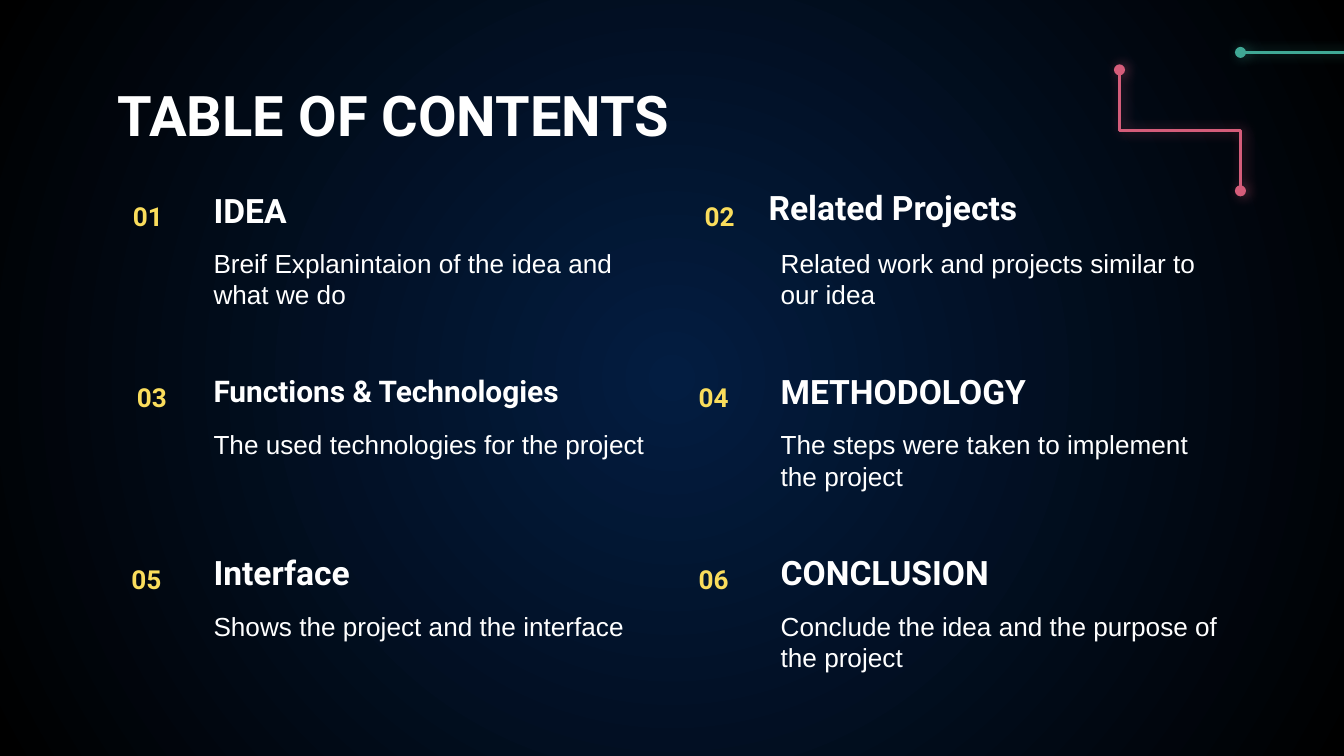
from dataclasses import dataclass

from lxml import etree
from pptx import Presentation
from pptx.dml.color import RGBColor
from pptx.enum.shapes import MSO_CONNECTOR
from pptx.enum.text import MSO_ANCHOR, PP_ALIGN
from pptx.oxml import parse_xml
from pptx.oxml.ns import nsdecls, qn
from pptx.util import Inches, Pt

ELBOW, STRAIGHT = MSO_CONNECTOR.ELBOW, MSO_CONNECTOR.STRAIGHT
TOP, MIDDLE = MSO_ANCHOR.TOP, MSO_ANCHOR.MIDDLE
LEFT, CENTER = PP_ALIGN.LEFT, PP_ALIGN.CENTER
WHITE, YELLOW, PINK, GREEN = "FFFFFF", "FADD5C", "D55D7A", "40A895"
NAVY, BLACK = "031D41", "000000"
COLUMNS = (1.49, 5.71)
ROW_TOP, ROW_STEP = 1.38, 1.35
HEADING = {"name": "Roboto", "bold": True}
BODY = {"name": "Arial", "size": Pt(14)}


@dataclass
class Box:
    """Position and size in inches."""
    left: float
    top: float
    width: float
    height: float


@dataclass
class Topic:
    """One entry of the contents, with its number box and heading offset."""
    heading: str
    body: str
    num_left: float
    num_width: float
    size: int = 18
    dx: float = 0
    dy: float = 0


TOPICS = [
    Topic("IDEA", "Breif Explanintaion of the idea and what we do", 0.87, 0.46),
    Topic("Related Projects", "Related work and projects similar to our idea",
          5.09, 0.53, dx=-0.09, dy=-0.02),
    Topic("Functions & Technologies", "The used technologies for the project",
          0.87, 0.52, size=16),
    Topic("METHODOLOGY", "The steps were taken to implement the project", 5, 0.62),
    Topic("Interface", "Shows the project and the interface", 0.78, 0.62),
    Topic("CONCLUSION", "Conclude the idea and the purpose of the project", 5, 0.62),
]


def rgb(value: str) -> RGBColor:
    """Turn a hex string into a colour."""
    return RGBColor.from_string(value)


def set_background(s) -> None:
    """Fill the slide with a circular gradient."""
    fill = s.background.fill
    fill.gradient()
    for stop, color in zip(fill.gradient_stops, (NAVY, BLACK)):
        stop.color.rgb = rgb(color)
    grad = next(s.element.iter(qn("a:gradFill")))
    grad.replace(grad.find(qn("a:lin")), parse_xml(
        f'<a:path {nsdecls("a")} path="circle">'
        '<a:fillToRect l="50000" t="50000" r="50000" b="50000"/></a:path>'))


def add_text(s, box: Box, text: str, fmt: dict, color: str = WHITE,
             anchor=TOP, align=LEFT, inset: float = 0.1) -> None:
    """Add a one-paragraph text box."""
    sp = s.shapes.add_textbox(Inches(box.left), Inches(box.top),
                              Inches(box.width), Inches(box.height))
    tf = sp.text_frame
    frame = {"word_wrap": True, "vertical_anchor": anchor,
             "margin_top": Inches(inset), "margin_bottom": Inches(inset)}
    for key, value in frame.items():
        setattr(tf, key, value)
    p = tf.paragraphs[0]
    p.alignment = align
    r = p.add_run()
    r.text = text
    for key, value in fmt.items():
        setattr(r.font, key, value)
    r.font.color.rgb = rgb(color)


def add_topic(s, i: int, t: Topic) -> None:
    """Add the number, heading and description of one topic."""
    row, col = divmod(i, 2)
    left, top = COLUMNS[col], ROW_TOP + row * ROW_STEP
    add_text(s, Box(left + t.dx, top + t.dy, 3.51, 0.36), t.heading,
             {**HEADING, "size": Pt(t.size)}, anchor=MIDDLE)
    add_text(s, Box(left, top + 0.36, 3.51, 0.61), t.body, BODY)
    add_text(s, Box(t.num_left, top + 0.06, t.num_width, 0.45), f"{i + 1:02}",
             {**HEADING, "size": Pt(14)}, YELLOW, align=CENTER, inset=0.05)


def add_circuit(s, kind, start: tuple, end: tuple, color: str, turn: int = 0) -> None:
    """Add a glowing connector with round ends, turned by whole degrees."""
    cx = s.shapes.add_connector(kind, *(Inches(v) for v in start + end))
    cx.line.color.rgb = rgb(color)
    cx.line.width = Pt(1.5)
    ln = cx.line._get_or_add_ln()
    for tag in ("a:headEnd", "a:tailEnd"):
        etree.SubElement(ln, qn(tag), type="oval")
    sp_pr = cx._element.spPr
    sp_pr.find(qn("a:xfrm")).set("rot", str(turn * 60000))
    sp_pr.append(parse_xml(
        f'<a:effectLst {nsdecls("a")}><a:outerShdw blurRad="{Pt(6.8)}" '
        f'dist="{Pt(1.5)}" dir="0" algn="bl" rotWithShape="0"><a:srgbClr val="{color}">'
        '<a:alpha val="50000"/></a:srgbClr></a:outerShdw></a:effectLst>'))


def main() -> None:
    """Build and save the contents slide."""
    prs = Presentation()
    prs.slide_width, prs.slide_height = Inches(10), Inches(10 * 9 / 16)
    s = prs.slides.add_slide(prs.slide_layouts[6])
    set_background(s)
    add_text(s, Box(0.78, 0.59, 8.44, 0.52), "TABLE OF CONTENTS",
             {**HEADING, "size": Pt(30)}, anchor=MIDDLE)
    for i, topic in enumerate(TOPICS):
        add_topic(s, i, topic)
    add_circuit(s, ELBOW, (9.23, 0.52), (8.33, 1.42), PINK, turn=270)
    add_circuit(s, STRAIGHT, (9.23, 0.39), (10.73, 0.39), GREEN)
    prs.save("out.pptx")


if __name__ == "__main__":
    main()
